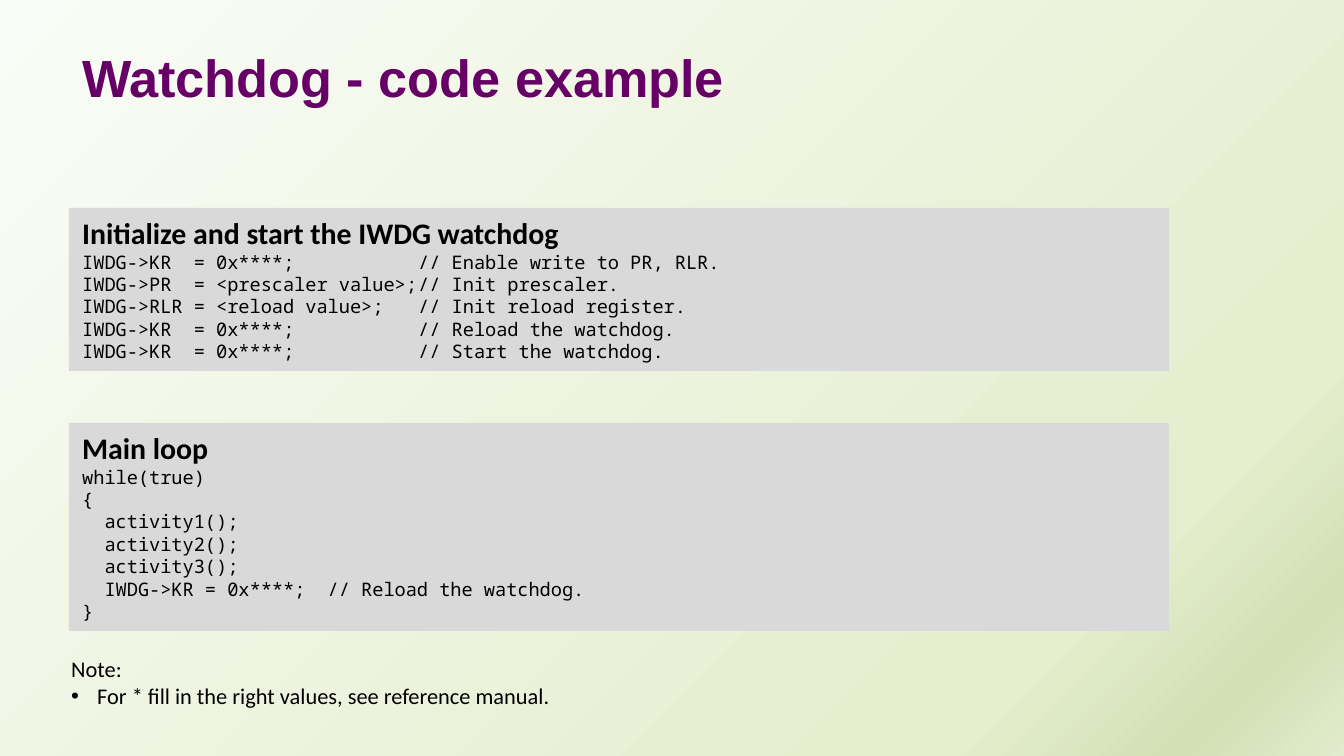
from pptx import Presentation
from pptx.dml.color import RGBColor
from pptx.enum.shapes import MSO_SHAPE as Preset
from pptx.enum.text import MSO_ANCHOR as Anchor, PP_ALIGN as Align
from pptx.oxml import parse_xml
from pptx.oxml.ns import nsdecls
from pptx.util import Pt
from lxml.etree import SubElement

EMU_PER_PX = 914400 / 134.4
PURPLE = RGBColor(0x66, 0x00, 0x66)
BLACK = RGBColor(0x00, 0x00, 0x00)
GREY = RGBColor(0xD9, 0xD9, 0xD9)
BACKDROP = [
    (0, RGBColor(0xFA, 0xFC, 0xF7)),
    (81, RGBColor(0xE4, 0xED, 0xCD)),
    (92, RGBColor(0xD2, 0xE0, 0xB4)),
    (100, RGBColor(0xE1, 0xEB, 0xCD)),
]

TITLE = dict(name="Arial", size=Pt(28), bold=True)
HEADING = dict(name="Calibri", size=Pt(16), bold=True)
CODE = dict(name="Noto Sans Mono", size=Pt(10), bold=False)
NOTE = dict(name="Calibri", size=Pt(12), bold=False)

INIT_CODE = [
    "IWDG->KR  = 0x****;\t\t// Enable write to PR, RLR.",
    "IWDG->PR  = <prescaler value>;\t// Init prescaler.",
    "IWDG->RLR = <reload value>;\t// Init reload register.",
    "IWDG->KR  = 0x****;\t\t// Reload the watchdog.",
    "IWDG->KR  = 0x****;\t\t// Start the watchdog.",
]
LOOP_CODE = [
    "while(true)",
    "{",
    "  activity1();",
    "  activity2();",
    "  activity3();",
    "  IWDG->KR = 0x****;  // Reload the watchdog.",
    "}",
]


def px(length):
    return round(length * EMU_PER_PX)


class SlideBuilder:
    def __init__(self, deck):
        self.slide = deck.slides.add_slide(deck.slide_layouts[6])

    def backdrop(self, stops, angle):
        self.slide.background.fill.gradient()
        gradient = self.slide.background._cSld.bg.bgPr[0]
        for child in list(gradient):
            gradient.remove(child)
        marks = "".join(
            f'<a:gs pos="{percent * 1000}"><a:srgbClr val="{color}"/></a:gs>'
            for percent, color in stops
        )
        gradient.append(parse_xml(f'<a:gsLst {nsdecls("a")}>{marks}</a:gsLst>'))
        gradient.append(parse_xml(
            f'<a:lin {nsdecls("a")} ang="{angle * 60000}" scaled="0"/>'))

    def fill_text(self, shape, lines, color=BLACK, **frame_format):
        frame = shape.text_frame
        settings = dict(word_wrap=True, vertical_anchor=Anchor.TOP) | frame_format
        for key, value in settings.items():
            setattr(frame, key, value)
        for index, (text, style) in enumerate(lines):
            paragraph = frame.add_paragraph() if index else frame.paragraphs[0]
            paragraph.alignment = Align.LEFT
            run = paragraph.add_run()
            run.text = text
            run.font.color.rgb = color
            for key, value in style.items():
                setattr(run.font, key, value)
        return frame

    def text(self, box, lines, **options):
        area = self.slide.shapes.add_textbox(*map(px, box))
        return self.fill_text(area, lines, **options)

    def code_panel(self, box, heading, code):
        panel = self.slide.shapes.add_shape(Preset.RECTANGLE, *map(px, box))
        panel.shadow.inherit = False
        panel.fill.solid()
        panel.fill.fore_color.rgb = GREY
        panel.line.fill.background()
        self.fill_text(panel, [(heading, HEADING)] + [(line, CODE) for line in code])

    def bullet(self, paragraph, indent):
        properties = paragraph._p.get_or_add_pPr()
        properties.set("marL", str(px(indent)))
        properties.set("indent", str(-px(indent)))
        namespace = properties.nsmap["a"]
        SubElement(properties, f"{{{namespace}}}buFont", typeface="Arial")
        SubElement(properties, f"{{{namespace}}}buChar", char="•")


def main():
    deck = Presentation()
    deck.slide_width, deck.slide_height = px(1344), px(756)
    page = SlideBuilder(deck)
    page.backdrop(BACKDROP, 45)
    page.text((69, 31, 1210, 126), [("Watchdog - code example", TITLE)],
              color=PURPLE, vertical_anchor=Anchor.MIDDLE, margin_bottom=px(41))
    page.code_panel((69, 208, 1100, 163),
                    "Initialize and start the IWDG watchdog", INIT_CODE)
    page.code_panel((69, 423, 1100, 208), "Main loop", LOOP_CODE)
    note = page.text((58, 649, 741, 95), [
        ("Note:", NOTE),
        ("For * fill in the right values, see reference manual.", NOTE),
    ])
    page.bullet(note.paragraphs[1], 26)
    deck.save("out.pptx")


if __name__ == "__main__":
    main()
